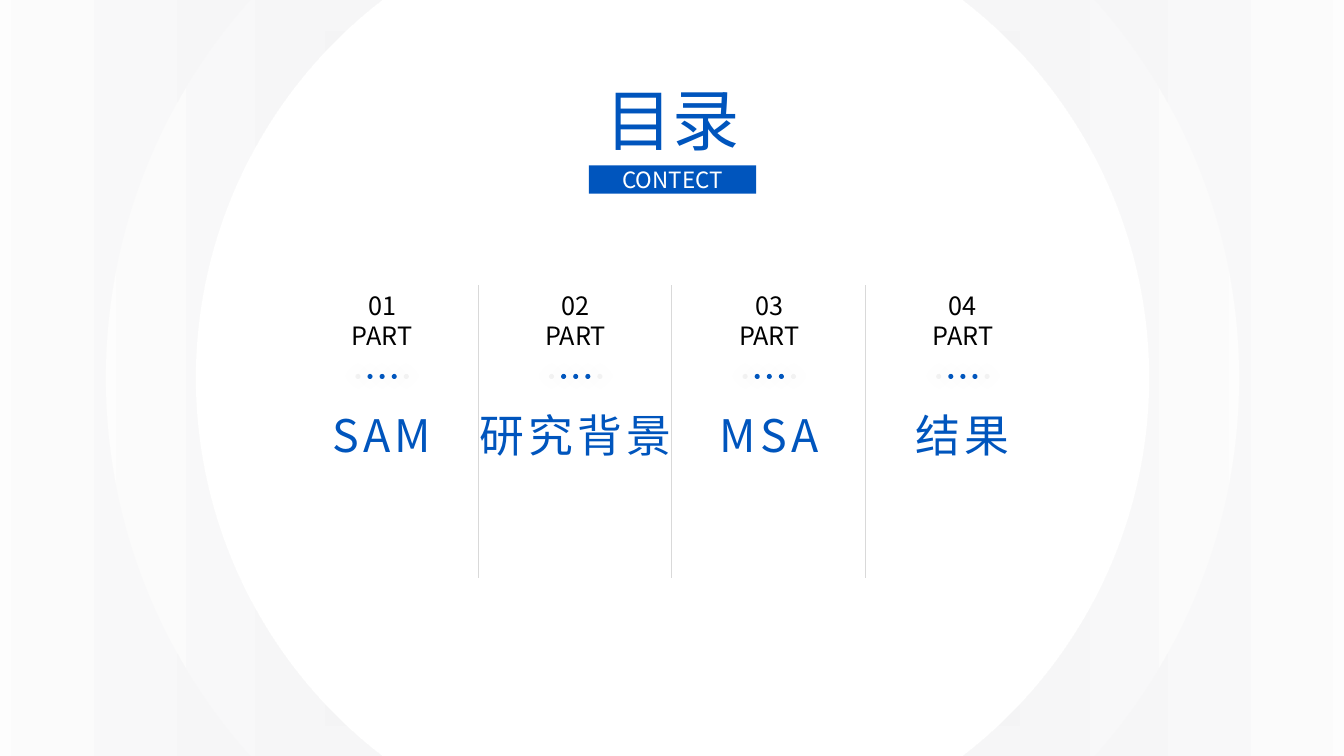
from dataclasses import dataclass

from lxml import etree
from pptx import Presentation
from pptx.dml.color import RGBColor
from pptx.enum import shapes as kinds, text as txt
from pptx.oxml.ns import qn
from pptx.util import Inches, Pt

FONT = "Noto Sans CJK SC"
COLORS = {
    "blue": "0055BD",
    "dot": "0257BE",
    "pale_dot": "F2F2F2",
    "divider": "D9D9D9",
    "ring_inner": "EBEBED",
    "white": "FFFFFF",
    "black": "000000",
}
CENTER_X, CENTER_Y = 6.67, 3.75
FIRST_COLUMN_X, COLUMN_PITCH = 3.79, 1.92
DIVIDER_TOP, DIVIDER_BOTTOM = 2.83, 5.73
DOT_SIZE, DOT_PITCH, DOT_TOP = 0.05, 0.12, 3.71
DOT_ROW = ("pale_dot", "dot", "dot", "dot", "pale_dot")


@dataclass
class Part:
    number: str
    heading: str
    heading_width: float


PARTS = [
    Part("01", "SAM", 1.29),
    Part("02", "研究背景", 2.14),
    Part("03", "MSA", 1.29),
    Part("04", "结果", 1.17),
]


def color(name: str) -> RGBColor:
    return RGBColor.from_string(COLORS[name])


def centered_box(center_x: float, top: float, width: float, height: float) -> tuple:
    return tuple(Inches(v) for v in (center_x - width / 2, top, width, height))


def write(frame, lines: list[str], size: int, color_name: str, spacing: int = 0, **frame_format) -> None:
    """Fill a text frame with centred lines; spacing is in points between letters."""
    for name, value in frame_format.items():
        setattr(frame, name, value)
    for index, line in enumerate(lines):
        paragraph = frame.paragraphs[0] if index == 0 else frame.add_paragraph()
        paragraph.alignment = txt.PP_ALIGN.CENTER
        run = paragraph.add_run()
        run.text = line
        for name, value in {"size": Pt(size), "name": FONT}.items():
            setattr(run.font, name, value)
        run.font.color.rgb = color(color_name)
        properties = run.font._element
        etree.SubElement(properties, qn("a:ea"), typeface=FONT)
        if spacing:
            properties.set("spc", str(spacing * 100))


def add_solid(shapes, kind, box: tuple, color_name: str):
    shape = shapes.add_shape(kind, *box)
    shape.shadow.inherit = False
    shape.fill.solid()
    shape.fill.fore_color.rgb = color(color_name)
    shape.line.fill.background()
    return shape


def add_ring(shapes, diameter: float) -> None:
    """Add a ring whose gradient runs outwards from its centre."""
    box = centered_box(CENTER_X, CENTER_Y - diameter / 2, diameter, diameter)
    ring = add_solid(shapes, kinds.MSO_SHAPE.DONUT, box, "white")
    ring.adjustments[0] = 0.157
    ring.fill.gradient()
    for stop, name in zip(ring.fill.gradient_stops, ("ring_inner", "white")):
        stop.color.rgb = color(name)
    gradient = ring.element.spPr.find(qn("a:gradFill"))
    linear = gradient.find(qn("a:lin"))
    outward = etree.Element(qn("a:path"), path="shape")
    etree.SubElement(outward, qn("a:fillToRect"), l="50000", t="50000", r="50000", b="50000")
    gradient.replace(linear, outward)


def add_glow(shape) -> None:
    """Put a soft blue shadow straight behind the shape."""
    effects = shape.element.spPr.find(qn("a:effectLst"))
    shadow = etree.SubElement(effects, qn("a:outerShdw"), blurRad=str(Pt(20)), dist="0", dir="0", algn="ctr")
    tint = etree.SubElement(shadow, qn("a:srgbClr"), val=COLORS["dot"])
    etree.SubElement(tint, qn("a:alpha"), val="20000")


def add_divider(shapes, x: float) -> None:
    divider = shapes.add_connector(
        kinds.MSO_CONNECTOR.STRAIGHT, Inches(x), Inches(DIVIDER_TOP), Inches(x), Inches(DIVIDER_BOTTOM)
    )
    divider.line.color.rgb = color("divider")
    divider.line.width = Pt(0.5)
    etree.SubElement(divider.element.spPr, qn("a:effectLst"))


def add_dots(shapes, center_x: float) -> None:
    for index, name in enumerate(DOT_ROW):
        x = center_x + (index - len(DOT_ROW) // 2) * DOT_PITCH
        dot = add_solid(shapes, kinds.MSO_SHAPE.OVAL, centered_box(x, DOT_TOP, DOT_SIZE, DOT_SIZE), name)
        add_glow(dot)


def add_part(shapes, part: Part, center_x: float) -> None:
    grow = txt.MSO_AUTO_SIZE.SHAPE_TO_FIT_TEXT
    heading = shapes.add_textbox(*centered_box(center_x, 4, part.heading_width, 0.64))
    write(heading.text_frame, [part.heading], 32, "blue", 3, word_wrap=False, auto_size=grow)
    label = shapes.add_textbox(*centered_box(center_x, 2.83, 0.91, 0.91))
    write(label.text_frame, [part.number, "PART"], 18, "black", word_wrap=True, auto_size=grow)


def main() -> None:
    deck = Presentation()
    deck.slide_width, deck.slide_height = Inches(13.33), Inches(7.5)
    slide = deck.slides.add_slide(deck.slide_layouts[5])
    shapes = slide.shapes

    for diameter in (13.79, 16.39):
        add_ring(shapes, diameter)

    title = shapes.title
    title.left, title.top, title.width, title.height = centered_box(CENTER_X, 0.73, 2.17, 0.91)
    write(
        title.text_frame, ["目录"], 48, "blue",
        word_wrap=True,
        auto_size=txt.MSO_AUTO_SIZE.SHAPE_TO_FIT_TEXT,
        vertical_anchor=txt.MSO_ANCHOR.TOP,
    )
    subtitle = add_solid(shapes, kinds.MSO_SHAPE.ROUNDED_RECTANGLE, centered_box(CENTER_X, 1.64, 1.66, 0.28), "blue")
    subtitle.adjustments[0] = 0
    write(subtitle.text_frame, ["CONTECT"], 16, "white", vertical_anchor=txt.MSO_ANCHOR.MIDDLE)

    contents = shapes.add_group_shape().shapes
    for index, part in enumerate(PARTS):
        center_x = FIRST_COLUMN_X + index * COLUMN_PITCH
        add_part(contents, part, center_x)
        if index < len(PARTS) - 1:
            add_divider(contents, center_x + COLUMN_PITCH / 2 - 0.01)
        add_dots(shapes.add_group_shape().shapes, center_x)

    deck.save("out.pptx")


if __name__ == "__main__":
    main()
